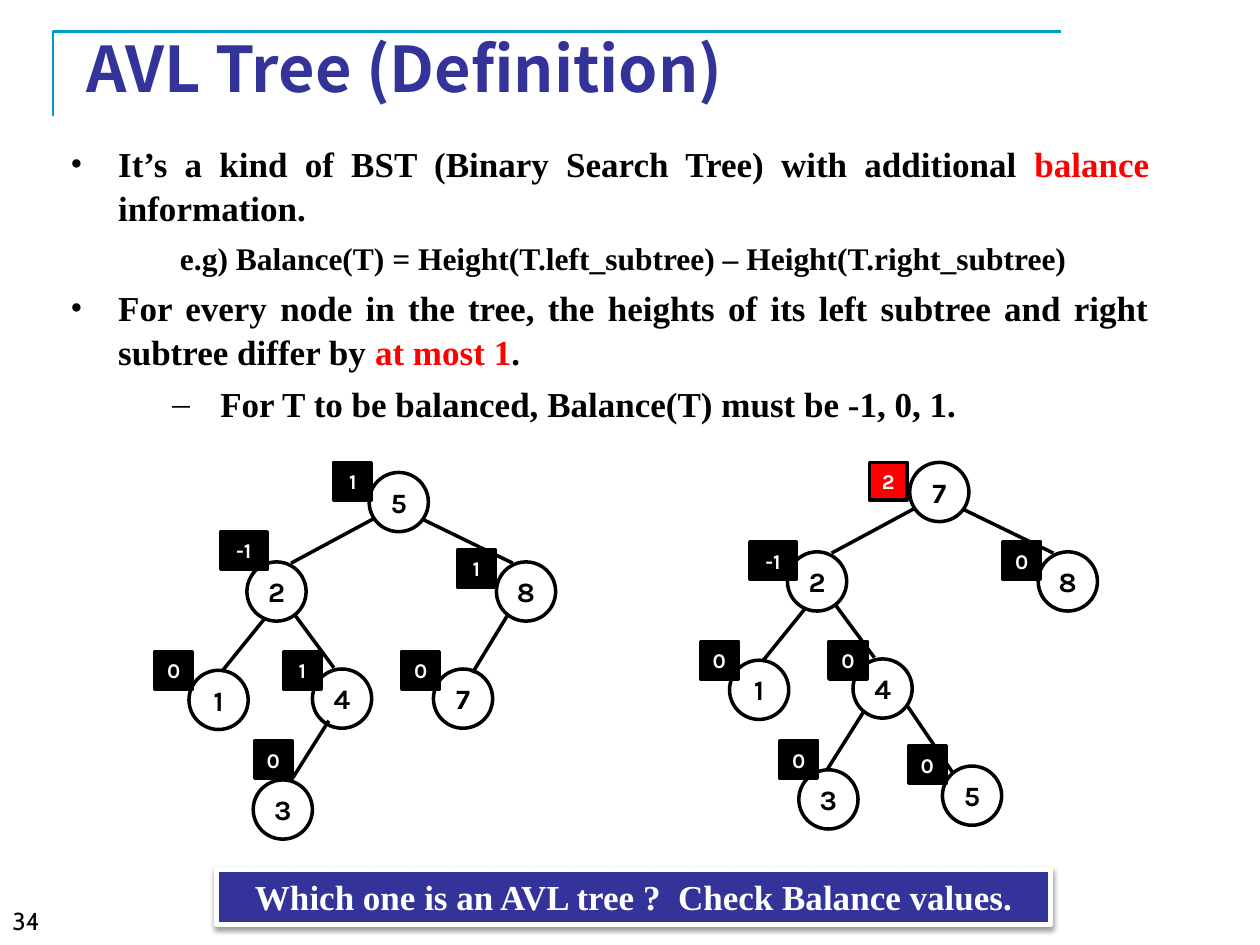
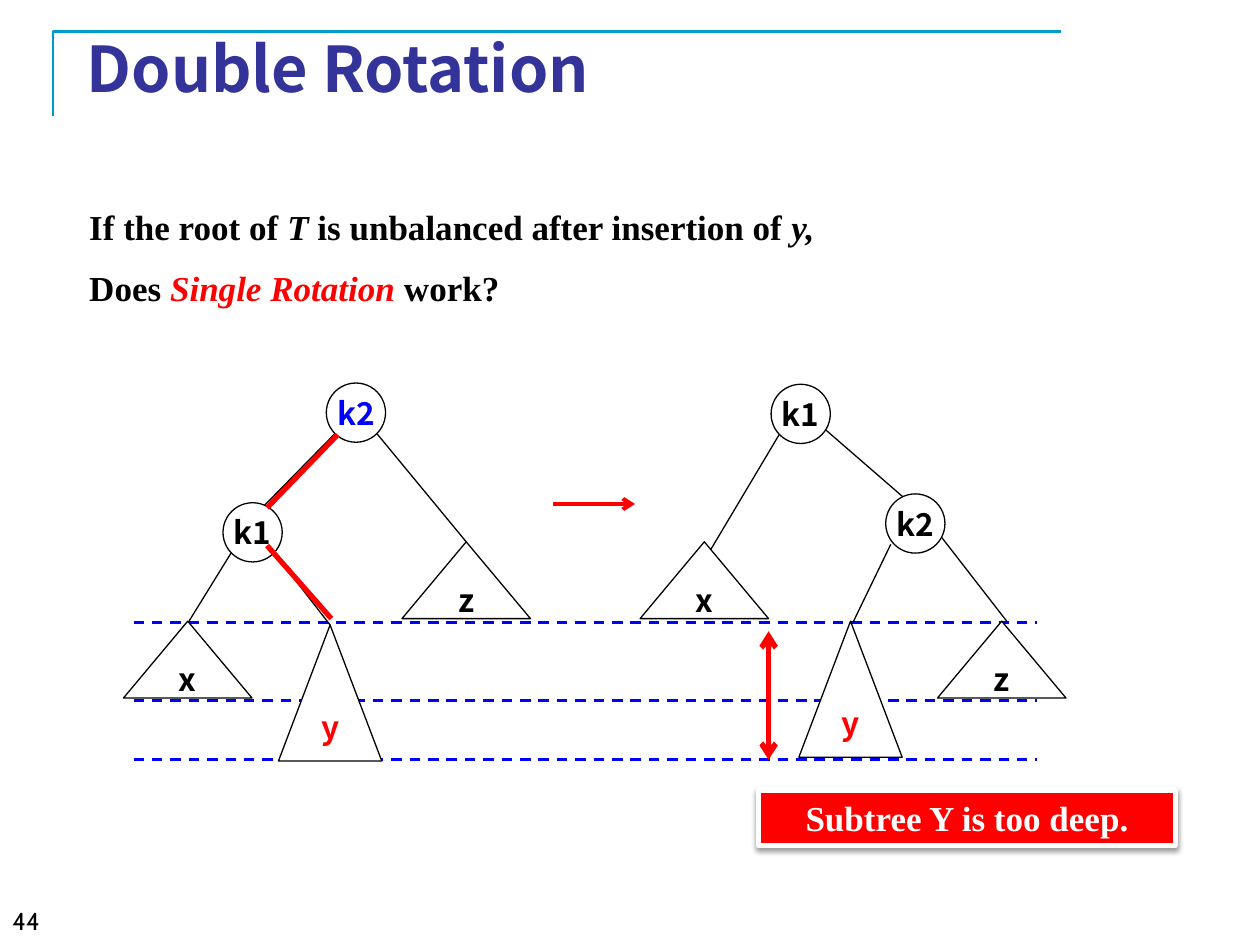
from lxml import etree
from pptx import Presentation
from pptx.dml.color import RGBColor
from pptx.enum import dml, shapes, text
from pptx.oxml import ns
from pptx.util import Inches, Pt

BLACK = RGBColor(0x00, 0x00, 0x00)
WHITE = RGBColor(0xFF, 0xFF, 0xFF)
RED = RGBColor(0xFF, 0x00, 0x00)
BLUE = RGBColor(0x00, 0x00, 0xFF)
NAVY = RGBColor(0x33, 0x33, 0x99)
TEAL = RGBColor(0x00, 0x99, 0xCC)

SERIF = "Times New Roman"
TITLE = "Noto Sans CJK KR"
NODE = 0.47
MSO = shapes.MSO_SHAPE
ALIGN = text.PP_ALIGN

TITLE_FONT = {"name": TITLE, "size": Pt(36), "bold": True, "color": NAVY}
NUMBER_FONT = {"name": "Cabin", "size": Pt(14), "color": BLACK}
BODY_FONT = {"name": SERIF, "size": Pt(20), "bold": True, "color": BLACK}
KEY_FONT = {"name": "Karla", "size": Pt(16), "bold": True, "color": BLACK}
BADGE_FONT = {**KEY_FONT, "size": Pt(12), "color": WHITE}
LABEL_FONT = {"name": TITLE, "size": Pt(18), "bold": True, "color": BLACK}


def sub(parent, tag, **attrs):
    """Append a DrawingML element."""
    el = etree.SubElement(parent, ns.qn(tag))
    for key, value in attrs.items():
        el.set(key, str(value))
    return el


def add_run(p, words, fmt):
    r = p.add_run()
    r.text = words
    for key, value in fmt.items():
        if key == "color":
            r.font.color.rgb = value
        else:
            setattr(r.font, key, value)


def add_text(s, box, align=ALIGN.LEFT, anchor=text.MSO_ANCHOR.TOP):
    """Text box with one empty paragraph ready for runs."""
    tf = s.shapes.add_textbox(*map(Inches, box)).text_frame
    tf.word_wrap = True
    tf.vertical_anchor = anchor
    tf.paragraphs[0].alignment = align
    return tf


def add_line(s, x, y, ends, color=BLACK, width=2.0, dash=None, arrows=()):
    """Straight line whose ends are relative to (x, y)."""
    x1, y1, x2, y2 = ends
    c = s.shapes.add_connector(shapes.MSO_CONNECTOR.STRAIGHT, Inches(x + x1),
                               Inches(y + y1), Inches(x + x2), Inches(y + y2))
    c.line.color.rgb = color
    c.line.width = Pt(width)
    if dash:
        c.line.dash_style = dash
    ln = c.line._get_or_add_ln()
    for end in arrows:
        sub(ln, end, type="arrow")
    sub(c._element.spPr, "a:effectLst")


def add_box(s, kind, box, words, font, fill=WHITE, line=BLACK, width=2.0,
            wrap=False, anchor=text.MSO_ANCHOR.MIDDLE):
    """Filled shape with a centred label."""
    sp = s.shapes.add_shape(kind, *map(Inches, box))
    sp.shadow.inherit = False
    sp.fill.solid()
    sp.fill.fore_color.rgb = fill
    sp.line.color.rgb = line
    sp.line.width = Pt(width)
    tf = sp.text_frame
    tf.word_wrap = wrap
    tf.vertical_anchor = anchor
    tf.paragraphs[0].alignment = ALIGN.CENTER
    add_run(tf.paragraphs[0], words, font)
    return sp


def new_slide(prs, title, number):
    """Blank slide with corner rule, number and title."""
    s = prs.slides.add_slide(prs.slide_layouts[6])
    fb = s.shapes.build_freeform(Inches(0.42), Inches(0.92))
    fb.add_line_segments([(Inches(0.42), Inches(0.25)),
                          (Inches(8.42), Inches(0.25))], close=False)
    rule = fb.convert_to_shape()
    rule.shadow.inherit = False
    rule.fill.background()
    rule.line.color.rgb = TEAL
    rule.line.width = Pt(1.5)

    tf = add_text(s, (0, 7.14, 3.12, 0.36))
    add_run(tf.paragraphs[0], str(number), NUMBER_FONT)
    tf = add_text(s, (0.59, 0.3, 8.5, 0.47), ALIGN.JUSTIFY,
                  text.MSO_ANCHOR.MIDDLE)
    add_run(tf.paragraphs[0], title, TITLE_FONT)
    return s


def add_body(s, box, paras, gap):
    """Paragraphs given as (margin, indent, bullet, runs)."""
    tf = add_text(s, box)
    for i, (margin, indent, bullet, runs) in enumerate(paras):
        p = tf.add_paragraph() if i else tf.paragraphs[0]
        p.alignment = ALIGN.JUSTIFY
        p.line_spacing = 1.04
        if i:
            p.space_before = Pt(gap)
        pPr = p._p.get_or_add_pPr()
        pPr.set("marL", str(Inches(margin)))
        pPr.set("indent", str(Inches(indent)))
        if bullet:
            sub(pPr, "a:buFont", typeface=SERIF)
            sub(pPr, "a:buChar", char=bullet)
        for words, fmt in runs:
            add_run(p, words, {**BODY_FONT, **fmt})


def add_callout(s, box, words, fill):
    """White-edged banner with a soft drop shadow."""
    sp = add_box(s, MSO.RECTANGLE, box, words, {**BODY_FONT, "color": WHITE},
                 fill, WHITE, 3, wrap=True, anchor=text.MSO_ANCHOR.TOP)
    effects = sp._element.spPr.find(ns.qn("a:effectLst"))
    shadow = sub(effects, "a:outerShdw", blurRad=Pt(3.1), dist=Pt(1.6),
                 dir=90 * 60000, rotWithShape=0)
    sub(sub(shadow, "a:srgbClr", val="000000"), "a:alpha", val=38000)


# Edges that both AVL candidates have
SHARED_EDGES = [
    (1.73, 0.45, 1.08, 0.80), (2.12, 0.45, 2.84, 0.80),
    (0.87, 1.24, 0.53, 1.66), (1.11, 1.21, 1.42, 1.63),
]


def add_avl_tree(s, x, y, nodes, extra_edges):
    """Nodes are (key, x, y, balance, badge x, badge y), relative to (x, y)."""
    for key, nx, ny, *_ in nodes:
        add_box(s, MSO.OVAL, (x + nx, y + ny, NODE, NODE), key, KEY_FONT)
    for ends in SHARED_EDGES + extra_edges:
        add_line(s, x, y, ends)
    for *_, balance, bx, by in nodes:
        width = 0.37 if balance == "-1" else 0.3
        valid = balance in ("-1", "0", "1")
        add_box(s, MSO.RECTANGLE, (x + bx, y + by, width, 0.3), balance,
                BADGE_FONT, fill=BLACK if valid else RED)


# Kind of each part of a rotation diagram: shape, width, height
PARTS = {
    "node": (MSO.OVAL, NODE, NODE),
    "subtree": (MSO.ISOSCELES_TRIANGLE, 1.02, 0.61),
    "deep": (MSO.ISOSCELES_TRIANGLE, 0.82, 1.08),
}


def add_rotation_tree(s, x, y, parts, edges, path=()):
    """Parts are (kind, label, x, y, colour), relative to (x, y)."""
    for ends in edges:
        add_line(s, x, y, ends, width=0.75)
    for kind, label, px, py, color in parts:
        shape, w, h = PARTS[kind]
        add_box(s, shape, (x + px, y + py, w, h), label,
                {**LABEL_FONT, "color": color}, width=0.75)
    for ends in path:
        add_line(s, x, y, ends, RED, 3)


def definition_slide(prs):
    s = new_slide(prs, "AVL Tree (Definition)", 34)
    red = {"color": RED}
    add_body(s, (0.46, 1.07, 8.76, 2.33), [
        (0.38, -0.38, "•", [
            ("It’s a kind of BST (Binary Search Tree) with additional ", {}),
            ("balance", red), (" information.", {})]),
        (0.87, 0, None, [
            ("e.g) Balance(T) = Height(T.left_subtree) – "
             "Height(T.right_subtree)", {"size": Pt(18)})]),
        (0.38, -0.38, "•", [
            ("For every node in the tree, the heights of its left subtree "
             "and right subtree differ by ", {}),
            ("at most 1", red), (".", {})]),
        (1.19, -0.38, "–", [
            ("For T to be balanced, Balance(T) must be -1, 0, 1.", {})]),
    ], gap=5)

    # Balanced tree
    add_avl_tree(s, 1.23, 3.67, [
        ("5", 1.70, 0.08, "1", 1.42, 0), ("2", 0.73, 0.79, "-1", 0.52, 0.55),
        ("8", 2.71, 0.79, "1", 2.40, 0.69), ("1", 0.27, 1.65, "0", 0, 1.5),
        ("4", 1.25, 1.64, "1", 1.02, 1.5), ("7", 2.21, 1.64, "0", 1.96, 1.5),
        ("3", 0.78, 2.52, "0", 0.79, 2.21),
    ], [(1.38, 2.05, 1.09, 2.51), (2.80, 1.21, 2.52, 1.67)])

    # Unbalanced tree
    add_avl_tree(s, 5.52, 3.59, [
        ("7", 1.70, 0.08, "2", 1.38, 0.08),
        ("2", 0.73, 0.79, "-1", 0.43, 0.71),
        ("8", 2.72, 0.79, "0", 2.44, 0.71), ("1", 0.27, 1.65, "0", 0.04, 1.5),
        ("4", 1.25, 1.64, "0", 1.06, 1.5), ("3", 0.82, 2.52, "0", 0.67, 2.29),
        ("5", 1.96, 2.49, "0", 1.69, 2.33),
    ], [(1.34, 2.05, 1.05, 2.51), (1.68, 2.01, 2.04, 2.54)])

    add_callout(s, (1.72, 6.9, 6.62, 0.44),
                "Which one is an AVL tree ?  Check Balance values.", NAVY)


def rotation_slide(prs):
    s = new_slide(prs, "Double Rotation", 44)
    italic = {"italic": True}
    add_body(s, (0.61, 1.57, 8.72, 0.93), [
        (0, 0, None, [("If the root of ", {}), ("T ", italic),
                      ("is unbalanced after insertion of ", {}),
                      ("y,", italic)]),
        (0, 0, None, [("Does ", {}),
                      ("Single Rotation", {**italic, "color": RED}),
                      (" work?", {})]),
    ], gap=10)

    # Depth levels
    for level in (4.94, 5.56, 6.03):
        add_line(s, 1.06, level, (0, 0, 7.17, 0), BLUE, 1.5,
                 dml.MSO_LINE.DASH)

    # Before the rotation
    add_rotation_tree(s, 0.98, 3.04, [
        ("node", "k2", 1.61, 0, BLUE), ("node", "k1", 0.79, 0.95, BLACK),
        ("subtree", "x", 0, 1.89, BLACK), ("deep", "y", 1.23, 1.92, RED),
        ("subtree", "z", 2.21, 1.26, BLACK),
    ], [(1.68, 0.40, 1.12, 0.97), (0.86, 1.34, 0.52, 1.89),
        (1.19, 1.34, 1.64, 1.92), (2.01, 0.40, 2.72, 1.26)],
        path=[(1.70, 0.41, 1.14, 0.99), (1.65, 1.87, 1.14, 1.29)])

    # After the rotation
    add_rotation_tree(s, 5.08, 3.05, [
        ("node", "k1", 1.04, 0, BLACK), ("node", "k2", 1.95, 0.87, BLACK),
        ("subtree", "x", 0, 1.25, BLACK), ("deep", "y", 1.26, 1.88, RED),
        ("subtree", "z", 2.36, 1.88, BLACK),
    ], [(1.46, 0.35, 2.14, 0.94), (1.11, 0.39, 0.55, 1.33),
        (1.99, 1.27, 1.69, 1.89), (2.39, 1.21, 2.91, 1.88)])

    # Rotation arrow and depth marker
    add_line(s, 4.39, 4, (0, 0, 0.65, 0), RED, 2.25, arrows=["a:tailEnd"])
    add_line(s, 6.1, 5.01, (0, 0, 0, 1.02), RED, 3,
             arrows=["a:headEnd", "a:tailEnd"])
    add_callout(s, (6.02, 6.27, 3.31, 0.44), "Subtree Y is too deep.", RED)


def main():
    prs = Presentation()
    prs.slide_width, prs.slide_height = Inches(10), Inches(7.5)
    definition_slide(prs)
    rotation_slide(prs)
    prs.save("out.pptx")


if __name__ == "__main__":
    main()
